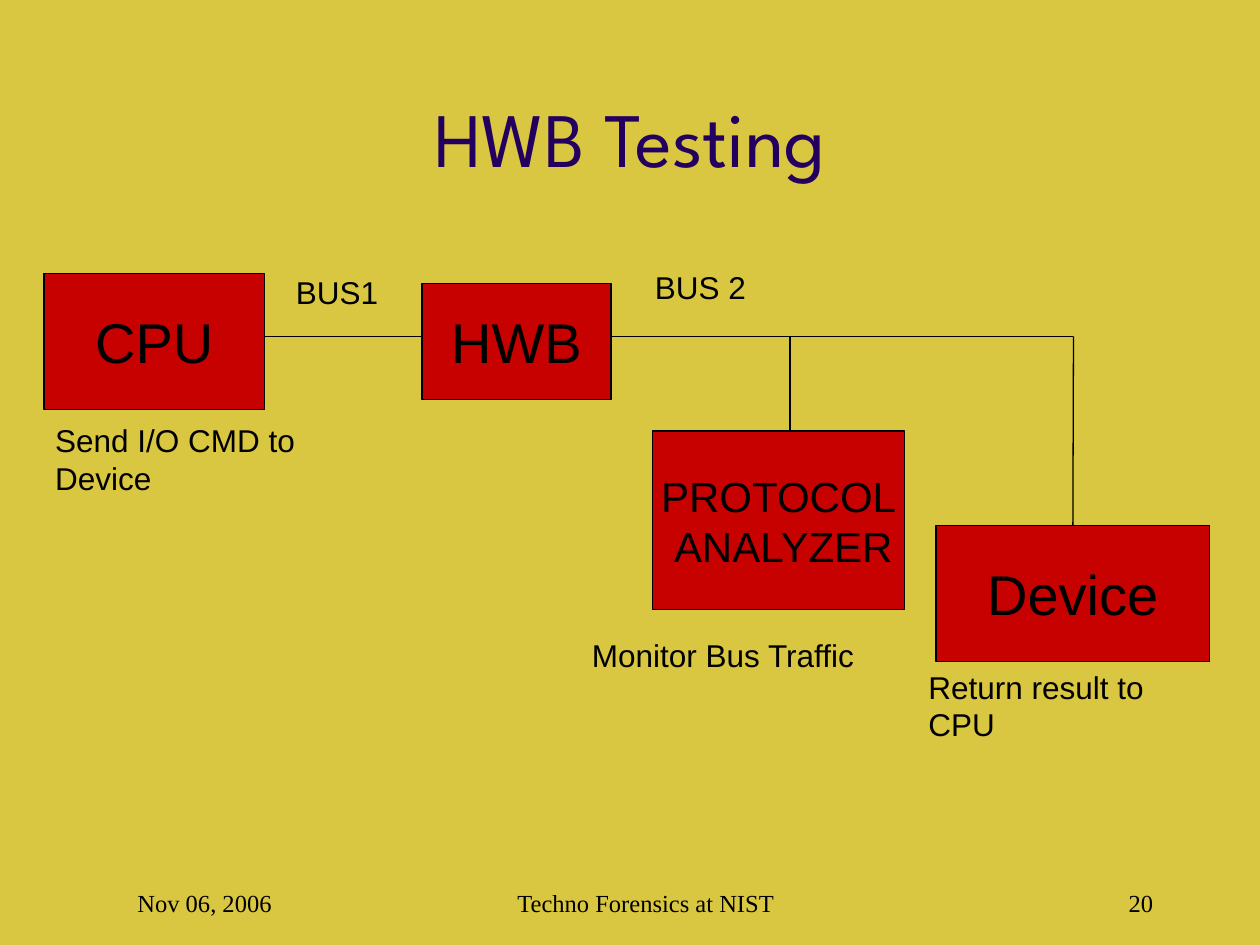
from lxml import etree
from pptx import Presentation
from pptx import util as u
from pptx.dml.color import RGBColor
from pptx.enum import shapes, text
from pptx.oxml.ns import qn

BLACK, RED, GOLD, INDIGO = "000000", "C70000", "D9C641", "23005F"
ALIGN, ANCHOR = text.PP_ALIGN, text.MSO_ANCHOR
BUS_Y = 2.67


def color(value):
    return RGBColor.from_string(value)


def write(shape, words, size=18, font="Arial", ink=BLACK, align=ALIGN.LEFT,
          anchor=ANCHOR.TOP, wrap=False, left_inset=0.1):
    frame = shape.text_frame
    frame.word_wrap = wrap
    frame.vertical_anchor = anchor
    frame.margin_left = u.Inches(left_inset)
    for index, line in enumerate(words.split("\n")):
        para = frame.add_paragraph() if index else frame.paragraphs[0]
        para.alignment = align
        span = para.add_run()
        span.text = line
        span.font.size = u.Pt(size)
        span.font.name = font
        span.font.color.rgb = color(ink)


def add_text(page, box, words, **form):
    write(page.shapes.add_textbox(*map(u.Inches, box)), words, **form)


def add_block(page, box, words, size=32):
    block = page.shapes.add_shape(shapes.MSO_SHAPE.RECTANGLE, *map(u.Inches, box))
    block.shadow.inherit = False
    block.fill.solid()
    block.fill.fore_color.rgb = color(RED)
    block.line.color.rgb = color(BLACK)
    block.line.width = u.Pt(0.75)
    write(block, words, size=size, align=ALIGN.CENTER, anchor=ANCHOR.MIDDLE)
    return block


def add_wire(page, start, end):
    wire = page.shapes.add_connector(shapes.MSO_CONNECTOR.STRAIGHT,
                                     *map(u.Inches, start + end))
    wire.line.color.rgb = color(BLACK)
    wire.line.width = u.Pt(0.75)
    etree.SubElement(wire._element.spPr, qn("a:effectLst"))
    return wire


def add_diagram(page, left, top):
    def at(x, y, *size):
        return (left + x, top + y, *size)

    # Bus line and its two drops, behind the blocks
    bus = BUS_Y - top
    add_wire(page, at(1.75, bus), at(8.17, bus))
    add_wire(page, at(5.92, bus), at(5.92, 1.5))
    device_drop = add_wire(page, at(8.17, bus), at(8.17, 2))

    # Blocks
    add_block(page, at(0, 0, 1.75, 1.08), "CPU")
    add_block(page, at(3, 0.08, 1.5, 0.92), "HWB")
    add_block(page, at(4.83, 1.25, 2, 1.42), "PROTOCOL\n ANALYZER", size=24)
    device = add_block(page, at(7.08, 2, 2.17, 1.08), "Device")
    device_drop.end_connect(device, 0)

    # Labels
    for x, y, width, words in (
        (1.9, -0.05, 0.85, "BUS1"),
        (4.75, -0.09, 1.67, "BUS 2"),
        (-0.01, 1.12, 2.93, "Send I/O CMD to Device"),
        (4.25, 2.83, 2.3, "Monitor Bus Traffic"),
        (6.92, 3.08, 2.5, "Return result to CPU"),
    ):
        add_text(page, at(x, y, width, 0.4), words)


def add_footer(page, top, height):
    for left, width, words, align in (
        (0.75, 2.08, "Nov 06, 2006", ALIGN.LEFT),
        (3.42, 3.17, "Techno Forensics at NIST", ALIGN.CENTER),
        (7.17, 2.08, "20", ALIGN.RIGHT),
    ):
        add_text(page, (left, top, width, height), words, size=14,
                 font="Times New Roman", align=align, anchor=ANCHOR.BOTTOM,
                 wrap=True, left_inset=0.34)


def main():
    deck = Presentation()
    deck.slide_width, deck.slide_height = u.Inches(10), u.Inches(7.5)
    page = deck.slides.add_slide(deck.slide_layouts[6])
    page.background.fill.solid()
    page.background.fill.fore_color.rgb = color(GOLD)

    add_text(page, (0.75, 0.67, 8.5, 1.25), "HWB Testing", size=44,
             font="League Spartan", ink=INDIGO, align=ALIGN.CENTER, wrap=True)
    add_diagram(page, 0.35, 2.17)
    add_footer(page, 6.83, 0.5)
    deck.save("out.pptx")


if __name__ == "__main__":
    main()
